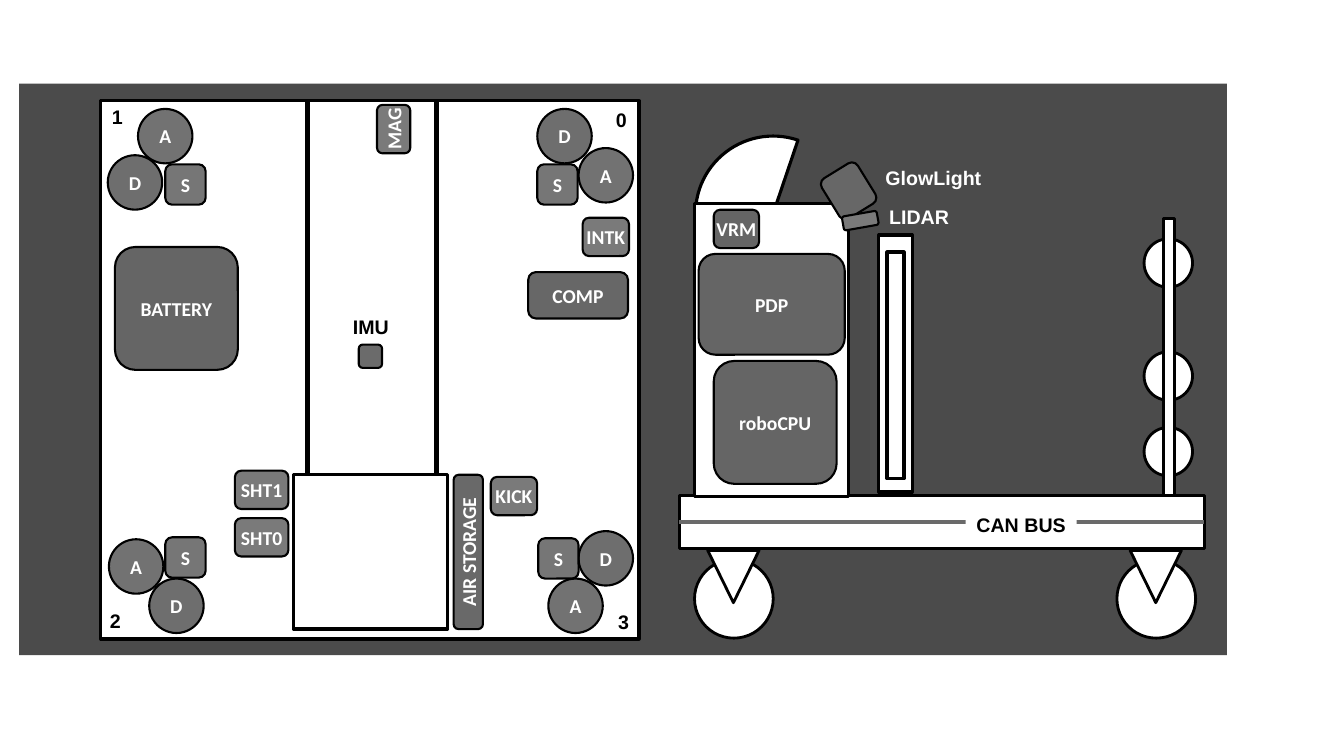
from lxml import etree
from pptx import Presentation
from pptx.dml.color import RGBColor
from pptx.enum.shapes import MSO_CONNECTOR, MSO_SHAPE
from pptx.enum.text import MSO_ANCHOR, MSO_AUTO_SIZE, PP_ALIGN
from pptx.oxml.ns import qn
from pptx.util import Pt

COLORS = {
    "backdrop": "4B4B4B", "white": "FFFFFF", "black": "000000",
    "unit": "656565", "camera": "676767", "air": "696969", "bus": "6A6A6A",
    "imu": "6B6B6B", "D": "6E6E6E", "A": "727272", "S": "767676",
    "motor": "7A7A7A",
}
RECT, ROUND, OVAL = MSO_SHAPE.RECTANGLE, MSO_SHAPE.ROUNDED_RECTANGLE, MSO_SHAPE.OVAL

prs = Presentation()
prs.slide_width, prs.slide_height = Pt(960), Pt(540)
slide = prs.slides.add_slide(prs.slide_layouts[6])


def draw(kind, x, y, w, h, fill="white", line=2.25, text="", turn=0):
    part = slide.shapes.add_shape(kind, Pt(x), Pt(y), Pt(w), Pt(h))
    part.shadow.inherit = False
    part.rotation = turn
    part.fill.solid()
    part.fill.fore_color.rgb = RGBColor.from_string(COLORS[fill])
    if line:
        part.line.color.rgb = RGBColor.from_string(COLORS["black"])
        part.line.width = Pt(line)
    else:
        part.line.fill.background()
    if text:
        write(part, text, "Calibri", "white")
    return part


def write(part, text, font, color):
    frame = part.text_frame
    frame.word_wrap = False
    frame.vertical_anchor = MSO_ANCHOR.MIDDLE
    frame.margin_left = frame.margin_right = 0
    frame.margin_top = frame.margin_bottom = 0
    frame.paragraphs[0].alignment = PP_ALIGN.CENTER
    run = frame.paragraphs[0].add_run()
    run.text = text
    run.font.name, run.font.size, run.font.bold = font, Pt(14), True
    run.font.color.rgb = RGBColor.from_string(COLORS[color])


# Backdrop and top view of the chassis
draw(RECT, 13.7, 59.8, 862.6, 408.2, "backdrop", 0)
draw(RECT, 72, 72, 384.5, 384.5)

# Side view: base, wheels with forks, rollers on the mast
draw(RECT, 485.3, 354.2, 375.1, 37.4)
for wheel_x in (496.1, 797.8):
    draw(OVAL, wheel_x, 399.6, 56.2, 56.2, line=2)
    draw(MSO_SHAPE.ISOSCELES_TRIANGLE, wheel_x + 9.4, 393.1, 36.7, 37.4, line=2, turn=180)
for roller_y in (170.6, 251.3, 305.3):
    draw(OVAL, 817.2, roller_y, 34.6, 34.6, line=2)
draw(RECT, 830.9, 156.2, 7.9, 198)

# Side view: shooter hood, cabinet and elevator
draw(MSO_SHAPE.PIE, 496.8, 97.2, 110.9, 110.9, turn=18.7)
draw(RECT, 496.1, 145.4, 110.2, 209.5)
draw(RECT, 627.8, 167.8, 23.8, 183.6)
draw(RECT, 633.6, 180, 12.2, 162)

# Rails of the top view and the bus line of the side view
for x1, y1, x2, y2, color in [
    (219.6, 72, 219.6, 339, "black"),
    (311.8, 72, 311.8, 339, "black"),
    (485.3, 373, 859.7, 373, "bus"),
]:
    rail = slide.shapes.add_connector(MSO_CONNECTOR.STRAIGHT, Pt(x1), Pt(y1), Pt(x2), Pt(y2))
    rail.line.color.rgb = RGBColor.from_string(COLORS[color])
    rail.line.width = Pt(3)
    etree.SubElement(rail._element.spPr, qn("a:effectLst"))
draw(RECT, 209.5, 339.1, 110.2, 110.2)
draw(RECT, 689.8, 362.2, 79.2, 24.5, line=0)

# Wheel modules: drive motor, angle motor and sensor in each corner
for drive, angle, sensor in [
    ((383.8, 77.8), (413.3, 105.8), (383.8, 117.4)),
    ((77, 110.9), (98.6, 77.8), (118.1, 117.4)),
    ((106.6, 413.3), (77.8, 385.2), (118.1, 383.8)),
    ((413.3, 379.4), (391.7, 413.3), (384.5, 384.5)),
]:
    draw(OVAL, *drive, 38.9, 38.9, "D", 1.5, "D")
    draw(OVAL, *angle, 38.9, 38.9, "A", 1.5, "A")
    draw(ROUND, *sensor, 28.8, 28.8, "S", 1.5, "S")

# Devices of both views
for text, x, y, w, h, fill, turn in [
    ("BATTERY", 82.1, 176.4, 87.8, 87.8, "unit", 0),
    ("COMP", 377.3, 194.4, 71.3, 33.1, "camera", 0),
    ("INTK", 416.2, 155.5, 33.1, 27.4, "motor", 0),
    ("KICK", 350.6, 340.6, 33.1, 27.4, "motor", 0),
    ("SHT0", 167.8, 370.1, 38.2, 27.4, "motor", 0),
    ("SHT1", 167.8, 336.2, 38.2, 27.4, "motor", 0),
    ("AIR STORAGE", 279.4, 383.8, 110.2, 20.9, "air", 270),
    ("", 256.3, 246.2, 16.6, 16.6, "imu", 0),
    ("roboCPU", 509.8, 257.8, 87.8, 87.8, "unit", 0),
    ("PDP", 499, 181.4, 104.4, 72, "unit", 0),
    ("VRM", 509.8, 149.8, 32.4, 27.4, "unit", 0),
    ("", 591.1, 119.5, 30.2, 33.8, "camera", 328.4),
    ("", 601.9, 152.6, 25.2, 10.1, "motor", 350.1),
]:
    draw(ROUND, x, y, w, h, fill, 1.5, text, turn)
magazine = draw(ROUND, 269.3, 74.9, 23.8, 34.6, "motor", 1.5, "MAG")
magazine.text_frame._txBody.bodyPr.set("vert", "vert270")

# Labels
for text, x, y, w, color in [
    ("0", 432.7, 73.4, 22.3, "black"),
    ("1", 72.7, 71.3, 22.3, "black"),
    ("2", 71.3, 431.3, 22.3, "black"),
    ("3", 434.2, 432, 22.3, "black"),
    ("IMU", 244.8, 221, 40.3, "black"),
    ("GlowLight", 625.7, 114.5, 82.1, "white"),
    ("LIDAR", 627.8, 142.6, 57.6, "white"),
    ("CAN BUS", 689.8, 362.2, 79.2, "black"),
]:
    label = slide.shapes.add_textbox(Pt(x), Pt(y), Pt(w), Pt(24.5))
    label.text_frame.auto_size = MSO_AUTO_SIZE.NONE
    write(label, text, "Arial", color)

prs.save("out.pptx")
